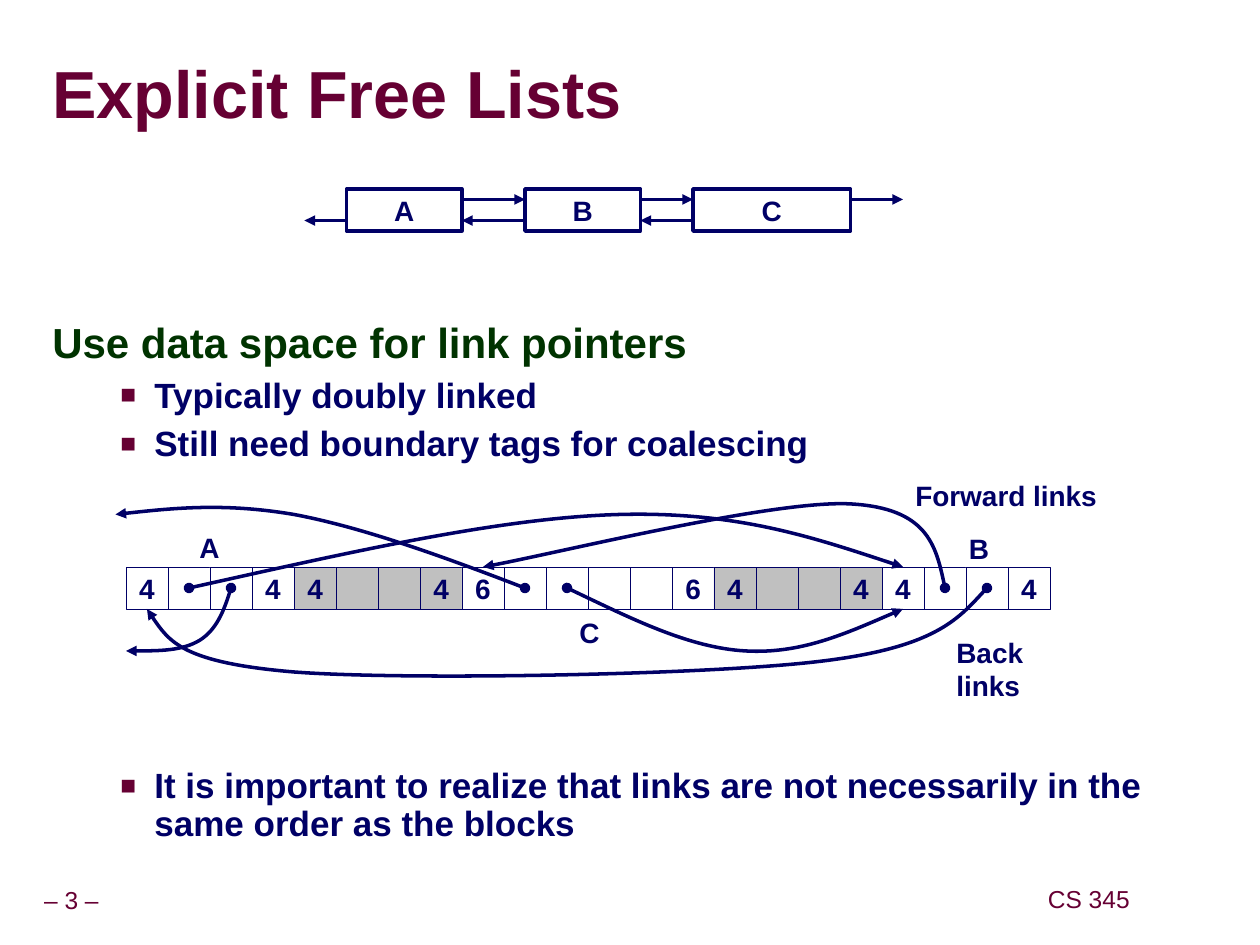
from dataclasses import dataclass
from itertools import pairwise

from lxml import etree
from pptx import Presentation
from pptx import util as u
from pptx.dml.color import RGBColor
from pptx.enum import shapes, text
from pptx.oxml.ns import qn
from pptx.slide import Slide

NAVY = RGBColor(0x00, 0x00, 0x66)
MAROON = RGBColor(0x66, 0x00, 0x33)
GREEN = RGBColor(0x00, 0x33, 0x00)
GREY = RGBColor(0xC0, 0xC0, 0xC0)
WHITE = RGBColor(0xFF, 0xFF, 0xFF)
SHADOW = RGBColor(0xB2, 0xB2, 0xB2)

CENTER = text.PP_ALIGN.CENTER
LEFT = text.PP_ALIGN.LEFT
MIDDLE = text.MSO_ANCHOR.MIDDLE
TOP = text.MSO_ANCHOR.TOP

COLUMNS, ROWS = 120, 90
CELL = 4

LIST_BLOCKS = [("A", 33, 11), ("B", 50, 11), ("C", 66, 15)]
LIST_TOP, FORWARD_ROW, BACK_ROW = 18, 19, 21
LIST_START, LIST_END = 29, 86

HEAP_LEFT, HEAP_TOP = 12, 54
HEAP_BLOCKS = [(4, WHITE), (4, GREY), (6, WHITE), (4, GREY), (4, WHITE)]

LINKS = [
    [(18, 56), (32.9, 52.7), (47.6, 49.3), (59, 49), (70.3, 48.7), (78.1, 51.4), (86, 54)],
    [(90, 56), (89.2, 52.2), (88.3, 48.4), (81, 48), (73.7, 47.6), (51.8, 53), (46, 54)],
    [(94, 56), (91.4, 58.8), (89, 61.7), (78, 63), (67, 64.3), (38.6, 64.8), (28, 64),
     (17.3, 63.1), (15.7, 60.6), (14, 58)],
    [(54, 56), (59.9, 58.8), (65.6, 61.7), (71, 62), (76.3, 62.3), (81.1, 60.1), (86, 58)],
    [(50, 56), (42.2, 53), (34.4, 50.2), (28, 49), (21.5, 47.9), (16.2, 48.4), (11, 49)],
    [(22, 56), (21.4, 58), (20.6, 60), (19, 61), (17.3, 62), (14.6, 62), (12, 62)],
]
LABELS = [
    ("Forward links", 86, 45, 19.7),
    ("Back links", 89.9, 59.9, 15.5),
    ("A", 17.8, 49.9, 4.3),
    ("B", 91.1, 50, 4.3),
    ("C", 54, 58, 4.3),
]


def grid(units):
    """Return a length given in grid units of a twelfth of an inch."""
    return u.Inches(units / 12)


def add_child(parent, tag, **attributes):
    """Append an element with the given attributes and return it."""
    return etree.SubElement(parent, qn(tag), attributes)


def write(paragraph, words, *, size=16, color=NAVY, bold=True, align=LEFT,
          spacing=1.0, before=0, bullet=False, shadow=False):
    """Put formatted words into a paragraph."""
    paragraph.alignment = align
    paragraph.line_spacing = spacing
    paragraph.space_before = u.Pt(before)
    if bullet:
        properties = paragraph._p.get_or_add_pPr()
        properties.set("marL", str(u.Inches(0.81)))
        properties.set("indent", str(-u.Inches(0.27)))
        bullet_color = add_child(properties, "a:buClr")
        add_child(bullet_color, "a:srgbClr", val=str(MAROON))
        add_child(properties, "a:buSzPct", val="75000")
        add_child(properties, "a:buFont", typeface="Arial")
        add_child(properties, "a:buChar", char="■")
    run = paragraph.add_run()
    run.text = words
    run.font.size = u.Pt(size)
    run.font.bold = bold
    run.font.color.rgb = color
    if shadow:
        effects = add_child(run._r.get_or_add_rPr(), "a:effectLst")
        outer = add_child(effects, "a:outerShdw", dist="57150", dir="2700000", algn="ctr")
        add_child(outer, "a:srgbClr", val=str(SHADOW))
    run.font.name = "Arial"


@dataclass
class Diagram:
    """Draws styled elements on the current slide."""

    slide: Slide
    color: RGBColor = NAVY
    weight: float = 2

    def frame(self, shape, inset=(0.1, 0.05), anchor=TOP, wrap=False):
        frame = shape.text_frame
        frame.word_wrap = wrap
        frame.vertical_anchor = anchor
        frame.margin_left = frame.margin_right = u.Inches(inset[0])
        frame.margin_top = frame.margin_bottom = u.Inches(inset[1])
        return frame

    def box(self, left, top, width, height, **layout):
        shape = self.slide.shapes.add_textbox(*map(grid, (left, top, width, height)))
        return self.frame(shape, **layout)

    def block(self, words, left, top, width, fill=WHITE, weight=2):
        shape = self.slide.shapes.add_shape(
            shapes.MSO_SHAPE.RECTANGLE, *map(grid, (left, top, width, CELL)))
        shape.shadow.inherit = False
        shape.fill.solid()
        shape.fill.fore_color.rgb = fill
        shape.line.color.rgb = self.color
        shape.line.width = u.Pt(weight)
        if words:
            frame = self.frame(shape, anchor=MIDDLE)
            write(frame.paragraphs[0], words, align=CENTER)

    def stroke(self, shape, head="none"):
        shape.line.color.rgb = self.color
        shape.line.width = u.Pt(self.weight)
        line = shape.line._get_or_add_ln()
        add_child(line, "a:headEnd", type=head)
        add_child(line, "a:tailEnd", type="triangle")

    def arrow(self, start, end, row):
        connector = self.slide.shapes.add_connector(
            shapes.MSO_CONNECTOR.STRAIGHT, *map(grid, (start, row, end, row)))
        self.stroke(connector)
        add_child(connector._element.spPr, "a:effectLst")

    def curve(self, points):
        start, *rest = [(grid(x), grid(y)) for x, y in points]
        builder = self.slide.shapes.build_freeform(*start)
        builder.add_line_segments(rest, close=False)
        shape = builder.convert_to_shape()
        segments = list(shape._element.iter(qn("a:lnTo")))
        outline = segments[0].getparent()
        for first in range(0, len(segments), 3):
            bezier = add_child(outline, "a:cubicBezTo")
            for segment in segments[first:first + 3]:
                bezier.append(segment[0])
                outline.remove(segment)
        shape.shadow.inherit = False
        shape.fill.background()
        self.stroke(shape, head="oval")


def add_words(diagram):
    """Add the footers, the title and the body text."""
    for words, left, top, width in [("– 3 –", 0, 84, 13.6), ("CS 345", 99.2, 83.9, 9)]:
        footer = diagram.box(left, top, width, 3.7, inset=(0.05, 0.05), anchor=MIDDLE)
        write(footer.paragraphs[0], words, size=14, color=MAROON, bold=False,
              align=CENTER, spacing=0.9)
    title = diagram.box(5, 5.5, 79.7, 7.6, inset=(0, 0), anchor=MIDDLE, wrap=True)
    write(title.paragraphs[0], "Explicit Free Lists", size=38, color=MAROON,
          spacing=0.87, shadow=True)
    body = diagram.box(3.8, 16.1, 109.1, 68.5, wrap=True)
    body.margin_top = u.Inches(1.23)
    write(body.paragraphs[0], "Use data space for link pointers", size=24,
          color=GREEN, spacing=0.85)
    for words, before in [
        ("Typically doubly linked", 6.2),
        ("Still need boundary tags for coalescing", 6.2),
        ("It is important to realize that links are not necessarily in the "
         "same order as the blocks", 174),
    ]:
        write(body.add_paragraph(), words, size=20, spacing=0.9, before=before, bullet=True)


def add_list(diagram):
    """Add the doubly linked list of blocks."""
    for name, left, width in LIST_BLOCKS:
        diagram.block(name, left, LIST_TOP, width)
    edges = [LIST_START]
    for _, left, width in LIST_BLOCKS:
        edges += [left, left + width]
    edges.append(LIST_END)
    gaps = list(pairwise(edges))[::2]
    for start, end in gaps[1:]:
        diagram.arrow(start, end, FORWARD_ROW)
    for start, end in gaps[:-1]:
        diagram.arrow(end, start, BACK_ROW)


def add_heap(diagram):
    """Add the heap cells, their links and labels."""
    left = HEAP_LEFT
    for size, fill in HEAP_BLOCKS:
        for index in range(size):
            tag = str(size) if index in (0, size - 1) else ""
            diagram.block(tag, left, HEAP_TOP, CELL, fill, weight=0.25)
            left += CELL
    for points in LINKS:
        diagram.curve(points)
    for words, left, top, width in LABELS:
        label = diagram.box(left, top, width, 4.4)
        write(label.paragraphs[0], words)


def main():
    """Build and save the slide."""
    presentation = Presentation()
    presentation.slide_width = grid(COLUMNS)
    presentation.slide_height = grid(ROWS)
    diagram = Diagram(presentation.slides.add_slide(presentation.slide_layouts[6]))
    add_words(diagram)
    add_list(diagram)
    add_heap(diagram)
    presentation.save("out.pptx")


if __name__ == "__main__":
    main()
